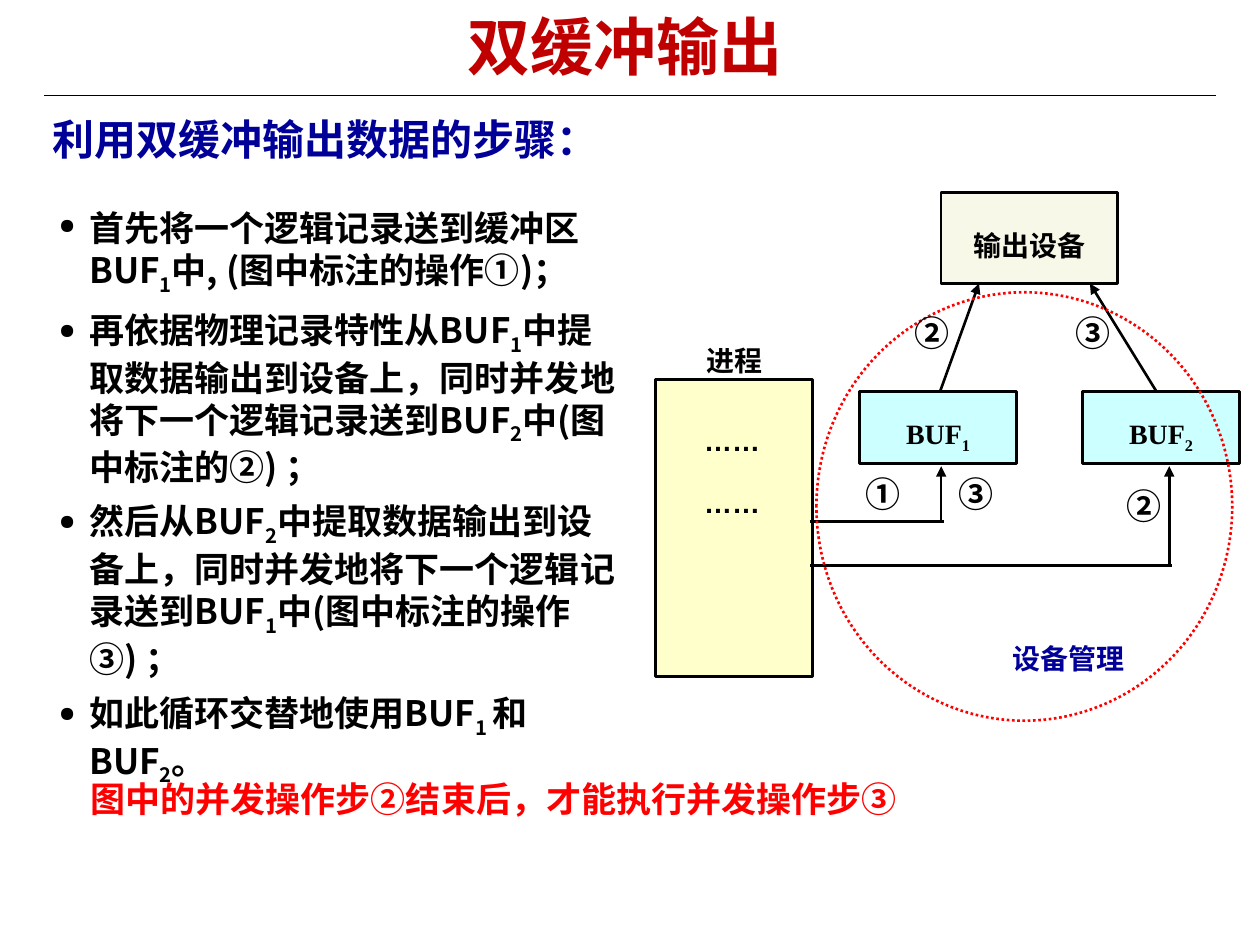
from lxml import etree
from pptx import Presentation
from pptx.dml.color import RGBColor
from pptx.enum.dml import MSO_LINE
from pptx.enum.shapes import MSO_CONNECTOR, MSO_SHAPE
from pptx.enum.text import MSO_ANCHOR, PP_ALIGN
from pptx.oxml.ns import qn
from pptx.util import Inches, Pt

RECTANGLE, OVAL = MSO_SHAPE.RECTANGLE, MSO_SHAPE.OVAL
STRAIGHT = MSO_CONNECTOR.STRAIGHT
DOTTED = MSO_LINE.ROUND_DOT
LEFT, CENTER = PP_ALIGN.LEFT, PP_ALIGN.CENTER
TOP, MIDDLE = MSO_ANCHOR.TOP, MSO_ANCHOR.MIDDLE

COLORS = {
    "black": "000000", "title": "C00000", "navy": "000099", "red": "FF0000",
    "device": "F8F8E8", "buffer": "CCFFFF", "process": "FFFFCC",
}
SANS, SERIF, ARIAL = "Noto Sans CJK SC", "Times New Roman", "Arial"
LABEL = {"size": 16, "spacing": 1.4, "before": 20, "after": 16}

STEPS = [
    "首先将一个逻辑记录送到缓冲区BUF|1|中, (图中标注的操作①)；",
    "再依据物理记录特性从BUF|1|中提取数据输出到设备上，同时并发地将下一个逻辑记录送到BUF|2|中(图中标注的②) ；",
    "然后从BUF|2|中提取数据输出到设备上，同时并发地将下一个逻辑记录送到BUF|1|中(图中标注的操作③) ；",
    "如此循环交替地使用BUF|1 |和BUF|2|。",
]


def color(name):
    return RGBColor.from_string(COLORS[name])


def add_bullet(para, indent):
    properties = para._p.get_or_add_pPr()
    properties.set("marL", str(Inches(indent)))
    properties.set("indent", str(-Inches(indent)))
    bullet_color = etree.SubElement(properties, qn("a:buClr"))
    etree.SubElement(bullet_color, qn("a:srgbClr"), val=COLORS["black"])
    etree.SubElement(properties, qn("a:buSzPct"), val="60000")
    etree.SubElement(properties, qn("a:buChar"), char="●")


def write(frame, *texts, size=20, font=SANS, ink="black", align=LEFT, anchor=TOP,
          spacing=None, before=0, after=0, bullet_indent=None):
    """Write one paragraph per text; every second part between bars is subscript."""
    frame.word_wrap = True
    frame.vertical_anchor = anchor
    for number, text in enumerate(texts):
        para = frame.add_paragraph() if number else frame.paragraphs[0]
        para.alignment = align
        if spacing:
            para.line_spacing = spacing
        para.space_before, para.space_after = Pt(before), Pt(after)
        if bullet_indent:
            add_bullet(para, bullet_indent)
        for position, part in enumerate(text.split("|")):
            span = para.add_run()
            span.text = part
            span.font.size, span.font.bold, span.font.name = Pt(size), True, font
            span.font.color.rgb = color(ink)
            run_properties = span._r.get_or_add_rPr()
            etree.SubElement(run_properties, qn("a:ea"), typeface=SANS)
            if position % 2:
                run_properties.set("baseline", "-25000")


class SlidePainter:
    def __init__(self, page, line_width=1.5):
        self.page = page
        self.line_width = line_width

    def text(self, left, top, width, height, *texts, **style):
        box = self.page.shapes.add_textbox(
            Inches(left), Inches(top), Inches(width), Inches(height))
        write(box.text_frame, *texts, **style)

    def shape(self, kind, left, top, width, height, fill=None, edge="black",
              dash=None, label=None):
        box = self.page.shapes.add_shape(
            kind, Inches(left), Inches(top), Inches(width), Inches(height))
        box.shadow.inherit = False
        if fill:
            box.fill.solid()
            box.fill.fore_color.rgb = color(fill)
        else:
            box.fill.background()
        box.line.color.rgb = color(edge)
        box.line.width = Pt(self.line_width)
        if dash:
            box.line.dash_style = dash
        if label:
            write(box.text_frame, label, font=SERIF, align=CENTER, anchor=MIDDLE, **LABEL)

    def line(self, start, end, width=None, arrow=False):
        """Draw a line, with the arrowhead at its start."""
        points = [Inches(value) for value in (*start, *end)]
        connector = self.page.shapes.add_connector(STRAIGHT, *points)
        connector.line.color.rgb = color("black")
        connector.line.width = Pt(width or self.line_width)
        if arrow:
            etree.SubElement(connector.line._get_or_add_ln(), qn("a:headEnd"), type="triangle")
        etree.SubElement(connector._element.spPr, qn("a:effectLst"))


def draw_diagram(painter):
    painter.shape(RECTANGLE, 7.47, 1.53, 1.4, 0.72, "device", label="输出设备")
    for left, label in ((6.82, "BUF|1"), (8.59, "BUF|2")):
        painter.shape(RECTANGLE, left, 3.11, 1.25, 0.57, "buffer", label=label)
    painter.shape(RECTANGLE, 5.2, 3.01, 1.25, 2.36, "process")
    painter.text(5.29, 2.57, 1.08, 0.47, "进程", font=SERIF, align=CENTER, **LABEL)
    for top in (3.21, 3.7):
        painter.text(5.49, top, 0.66, 0.57, "……", font=ARIAL, **LABEL)

    for device_x, buffer_x in ((7.77, 7.46), (8.65, 9.18)):
        painter.line((device_x, 2.25), (buffer_x, 3.11), arrow=True)
    for x, y in ((7.47, 4.14), (9.28, 4.49)):
        painter.line((x, 3.7), (x, y), arrow=True)
        painter.line((x + 0.02, y), (6.43, y))

    painter.shape(OVAL, 6.48, 2.32, 3.3, 3.4, edge="red", dash=DOTTED)
    painter.text(7.85, 4.88, 1.26, 0.59, "设备管理", ink="navy", align=CENTER,
                 anchor=MIDDLE, **LABEL)
    marks = [("①", 6.77, 3.7), ("③", 7.51, 3.7), ("②", 8.84, 3.8),
             ("②", 7.16, 2.42), ("③", 8.44, 2.42)]
    for mark, left, top in marks:
        painter.text(left, top, 0.59, 0.44, mark, before=12.5)


def main():
    deck = Presentation()
    deck.slide_width, deck.slide_height = Inches(10), Inches(7.5)
    painter = SlidePainter(deck.slides.add_slide(deck.slide_layouts[6]))

    painter.line((0.35, 0.76), (9.65, 0.76), width=0.75)
    painter.text(0.37, 0.08, 9.18, 0.64, "双缓冲输出", size=36, ink="title",
                 align=CENTER, spacing=0.9, before=5, after=3)
    painter.text(0.32, 0.85, 6.25, 0.5, "利用双缓冲输出数据的步骤：", size=24,
                 ink="navy", before=9)
    painter.text(0.37, 1.59, 4.63, 4.71, *STEPS, before=6.8, bullet_indent=0.24)
    draw_diagram(painter)
    painter.text(0.62, 6.16, 6.74, 0.51, "图中的并发操作步②结束后，才能执行并发操作步③",
                 ink="red", spacing=0.9, before=2.5)
    deck.save("out.pptx")


if __name__ == "__main__":
    main()
